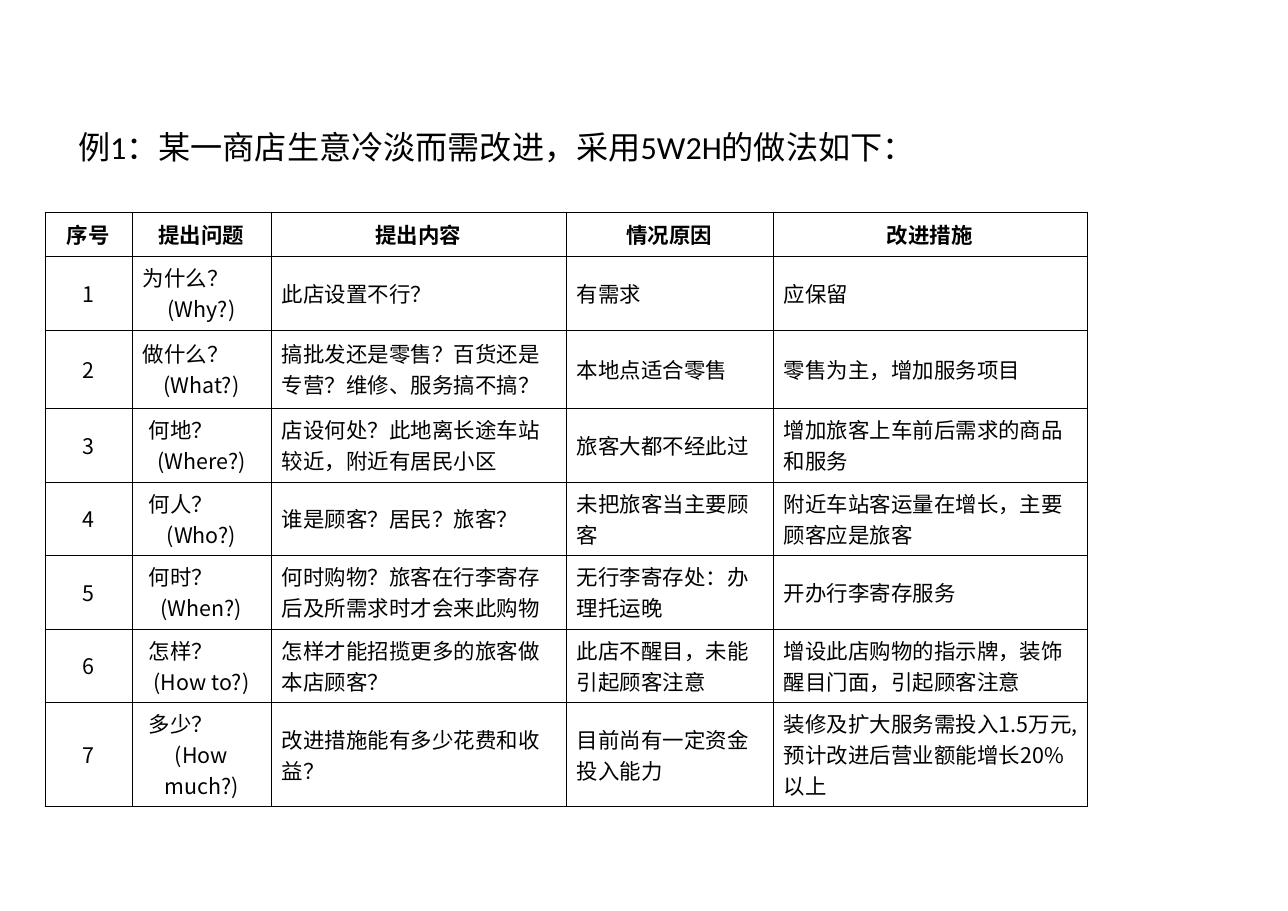
from lxml.etree import SubElement
from pptx import Presentation
from pptx.dml.color import RGBColor
from pptx.enum.lang import MSO_LANGUAGE_ID
from pptx.enum.text import MSO_ANCHOR, PP_ALIGN
from pptx.oxml import parse_xml
from pptx.oxml.ns import nsdecls, qn
from pptx.util import Pt

SCALE = 8298
BLACK = "000000"
SANS = "Noto Sans CJK SC"
TITLE = "例1：某一商店生意冷淡而需改进，采用5W2H的做法如下："
HEAD = ["序号", "提出问题", "提出内容", "情况原因", "改进措施"]
ROWS = [
    ["1", "为什么？\n(Why?)", "此店设置不行？", "有需求", "应保留"],
    ["2", "做什么？\n(What?)", "搞批发还是零售？百货还是专营？维修、服务搞不搞？",
     "本地点适合零售", "零售为主，增加服务项目"],
    ["3", "何地？\n(Where?)", "店设何处？此地离长途车站较近，附近有居民小区",
     "旅客大都不经此过", "增加旅客上车前后需求的商品和服务"],
    ["4", "何人？\n(Who?)", "谁是顾客？居民？旅客？",
     "未把旅客当主要顾客", "附近车站客运量在增长，主要顾客应是旅客"],
    ["5", "何时？\n(When?)", "何时购物？旅客在行李寄存后及所需求时才会来此购物",
     "无行李寄存处：办理托运晚", "开办行李寄存服务"],
    ["6", "怎样？\n(How to?)", "怎样才能招揽更多的旅客做本店顾客？",
     "此店不醒目，未能引起顾客注意", "增设此店购物的指示牌，装饰醒目门面，引起顾客注意"],
    ["7", "多少？\n(How much?)", "改进措施能有多少花费和收益？",
     "目前尚有一定资金投入能力", "装修及扩大服务需投入1.5万元,预计改进后营业额能增长20%以上"],
]
WIDTHS = [87, 139, 295, 207, 314]
HEIGHTS = [44, 74, 78, 74, 73, 74, 73, 105]


def px(n):
    """Turn px into EMU."""
    return n * SCALE


def color(code):
    """Turn a hex string into a colour."""
    return RGBColor.from_string(code)


def apply(obj, form):
    """Set attributes from a dict of format values."""
    for key, value in form.items():
        setattr(obj, key, value)


def write(par, text, align=PP_ALIGN.LEFT, **form):
    """Write one run with its font into a paragraph."""
    par.alignment = align
    run = par.add_run()
    run.text = text
    apply(run.font, {"language_id": MSO_LANGUAGE_ID.SIMPLIFIED_CHINESE, **form})
    run.font.color.rgb = color(BLACK)
    SubElement(run.font._element, qn("a:ea"), typeface=SANS)


def border(cell):
    """Draw thin black lines on all four sides of a cell."""
    for side in ("lnL", "lnR", "lnT", "lnB"):
        cell._tc.get_or_add_tcPr().append(parse_xml(
            f'<a:{side} {nsdecls("a")} w="{Pt(0.45)}"><a:solidFill>'
            f'<a:srgbClr val="{BLACK}"/></a:solidFill></a:{side}>'))


def fill(cell, text, row, col):
    """Format a cell and write its paragraphs."""
    border(cell)
    cell.fill.background()
    apply(cell, {"vertical_anchor": MSO_ANCHOR.MIDDLE,
                 "margin_left": px(11), "margin_right": px(11),
                 "margin_top": px(5), "margin_bottom": px(5)})
    lines = text.split("\n")
    for i, line in enumerate(lines):
        frame = cell.text_frame
        par = frame.add_paragraph() if i else frame.paragraphs[0]
        lead = len(lines) > 1 and i == 0
        if lead and row > 2:
            par._p.get_or_add_pPr().set("marL", str(px(6)))
        mid = row == 0 or (col < 2 and not lead)
        write(par, line, PP_ALIGN.CENTER if mid else PP_ALIGN.LEFT,
              name=SANS, size=Pt(14), bold=row == 0)


def title(slide):
    """Add the title line."""
    frame = slide.shapes.add_textbox(px(66), px(121), px(1167), px(46)).text_frame
    apply(frame, {"word_wrap": True, "margin_left": px(12), "margin_right": px(12),
                  "margin_top": px(6), "margin_bottom": px(6)})
    write(frame.paragraphs[0], TITLE, name="Calibri", size=Pt(21))


def grid(slide):
    """Add the table of questions and measures."""
    table = slide.shapes.add_table(
        len(HEIGHTS), len(WIDTHS), px(45), px(212),
        px(sum(WIDTHS)), px(sum(HEIGHTS))).table
    apply(table, {"first_row": False, "horz_banding": False})
    for col, width in zip(table.columns, WIDTHS):
        col.width = px(width)
    for row, height in zip(table.rows, HEIGHTS):
        row.height = px(height)
    for r, texts in enumerate([HEAD, *ROWS]):
        for c, text in enumerate(texts):
            fill(table.cell(r, c), text, r, c)


def main():
    """Build and save the slide."""
    deck = Presentation()
    apply(deck, {"slide_width": px(1288), "slide_height": px(911)})
    slide = deck.slides.add_slide(deck.slide_layouts[6])
    title(slide)
    grid(slide)
    deck.save("out.pptx")


if __name__ == "__main__":
    main()
